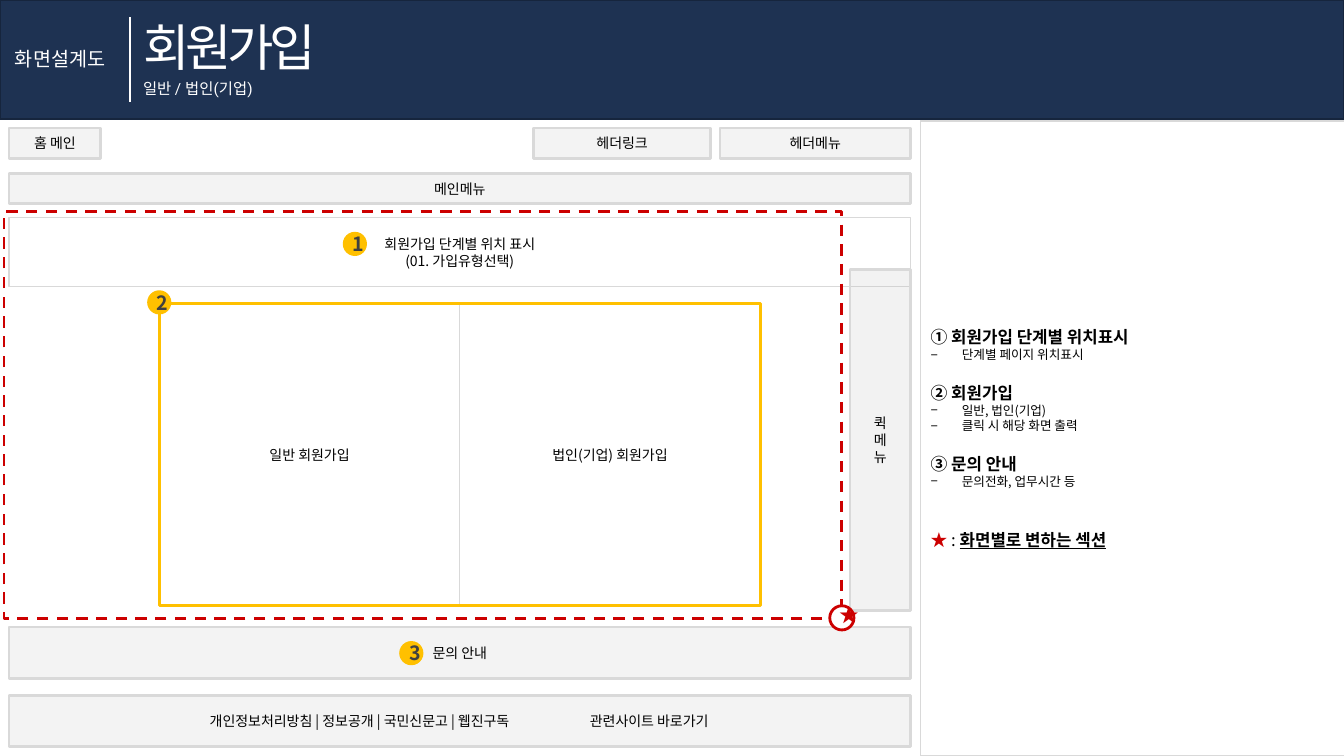
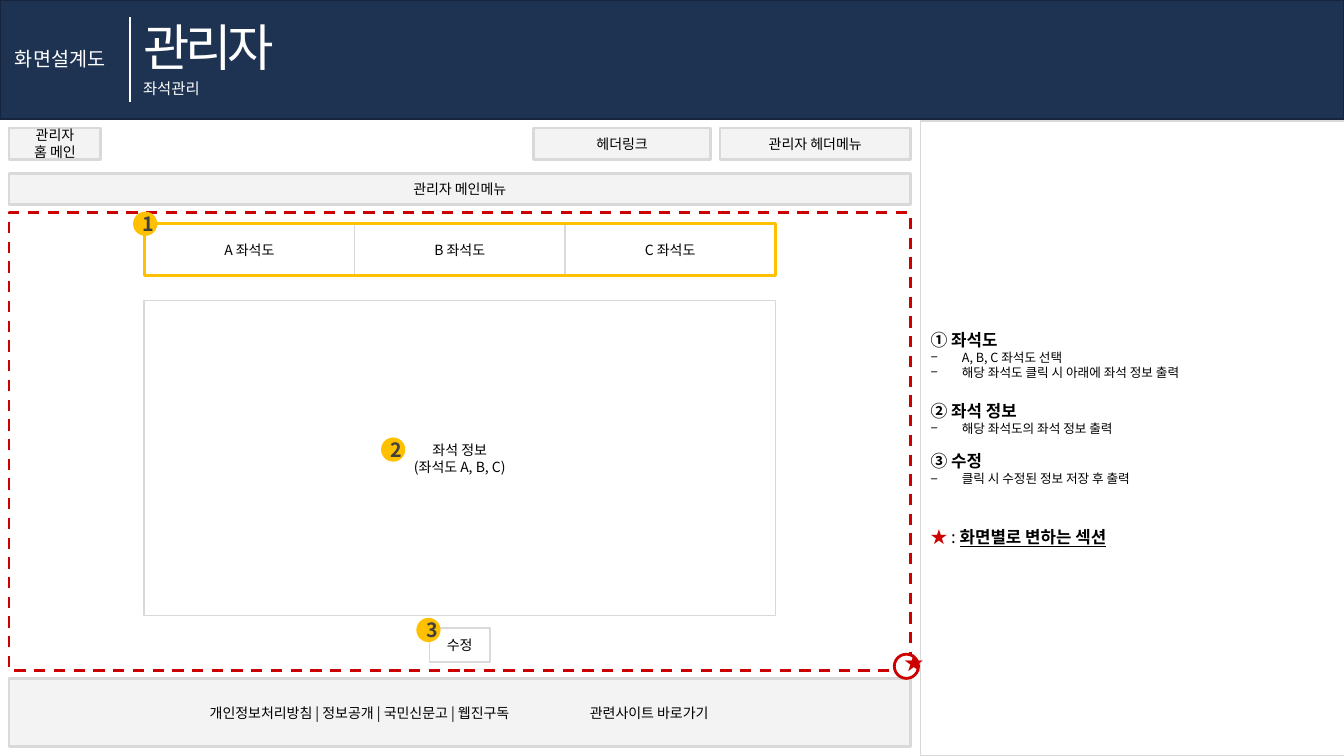
import pptx
import pptx.util
import pptx.dml.color
import pptx.oxml
import pptx.oxml.ns
import pptx.enum.dml
import pptx.enum.shapes
import pptx.enum.text

Inches, Pt = pptx.util.Inches, pptx.util.Pt
SHAPE = pptx.enum.shapes.MSO_SHAPE
ALIGN = pptx.enum.text.PP_ALIGN
ANCHOR = pptx.enum.text.MSO_ANCHOR

# Content
DOCUMENT = "화면설계도"
FOOTER = "개인정보처리방침 | 정보공개 | 국민신문고 | 웹진구독\t관련사이트 바로가기"
LEGEND = "화면별로 변하는 섹션"

# boxes: text, (left, top, width, height), style
# notes: heading, details, space before the heading in points
SCREENS = [
    {
        "title": "회원가입",
        "subtitle": "일반 / 법인(기업)",
        "bar_height": 0.3,
        "home": "홈 메인", "links": "헤더링크", "menu": "헤더메뉴", "main_menu": "메인메뉴",
        "footer": (6.9, 0.51),
        "boxes": [
            ("회원가입 단계별 위치 표시\n(01. 가입유형선택)", (0.09, 2.16, 8.94, 0.68), "plain"),
            ("문의 안내", (0.09, 6.22, 8.94, 0.51), "bar"),
            ("퀵\n메\n뉴", (8.43, 2.67, 0.6, 3.39), "quick"),
        ],
        "tiles": ["일반 회원가입", "법인(기업) 회원가입"],
        "tile_area": (1.58, 3.01, 5.96, 3),
        "section": (0.04, 2.1, 8.31, 4.04),
        "star": (8.23, 6.01),
        "badges": [("1", 3.4, 2.3), ("3", 3.96, 6.36), ("2", 1.46, 2.88)],
        "notes": [
            ("① 회원가입 단계별 위치표시", ["단계별 페이지 위치표시"], 0),
            ("② 회원가입", ["일반, 법인(기업)", "클릭 시 해당 화면 출력"], 14.5),
            ("③ 문의 안내", ["문의전화, 업무시간 등"], 14.5),
        ],
    },
    {
        "title": "관리자",
        "subtitle": "좌석관리",
        "bar_height": 0.31,
        "home": "관리자\n홈 메인", "links": "헤더링크", "menu": "관리자 헤더메뉴",
        "main_menu": "관리자 메인메뉴",
        "footer": (6.73, 0.68),
        "boxes": [
            ("좌석 정보\n(좌석도 A, B, C)", (1.43, 2.98, 6.26, 3.13), "plain"),
            ("수정", (4.26, 6.23, 0.6, 0.34), "plain"),
        ],
        "tiles": ["A 좌석도", "B 좌석도", "C 좌석도"],
        "tile_area": (1.43, 2.22, 6.26, 0.51),
        "section": (0.09, 2.11, 8.94, 4.54),
        "star": (8.87, 6.49),
        "badges": [("2", 3.78, 4.34), ("3", 4.13, 6.13), ("1", 1.32, 2.1)],
        "notes": [
            ("① 좌석도", ["A, B, C 좌석도 선택", "해당 좌석도 클릭 시 아래에 좌석 정보 출력"], 0),
            ("② 좌석 정보", ["해당 좌석도의 좌석 정보 출력"], 14.5),
            ("③ 수정", ["클릭 시 수정된 정보 저장 후 출력"], 11),
        ],
    },
]

# Shared look
FONT = "Noto Sans CJK KR"
NAVY, NAVY_EDGE, WHITE, BLACK = "1E3252", "16253D", "FFFFFF", "000000"
GRAY, QUICK_GRAY, DARK = "D9D9D9", "BFBFBF", "404040"
RED, YELLOW = "CC0000", "FFC000"
STYLES = {
    "band": dict(fill=NAVY, line=NAVY_EDGE, weight=1),
    "bar": dict(fill=GRAY, opacity=30, line=GRAY, weight=2),
    "quick": dict(fill=QUICK_GRAY, opacity=20, line=GRAY, weight=2),
    "plain": dict(fill=WHITE, line=GRAY, weight=1),
    "section": dict(line=RED, weight=2, dashed=True),
    "frame": dict(line=YELLOW, weight=2),
    "ring": dict(fill=WHITE, line=RED, weight=2),
    "badge": dict(fill=YELLOW),
}
SLIDE_W, SLIDE_H = 13.33, 7.5
LEFT, CONTENT_W = 0.09, 8.94
PANEL = (9.13, 1.2, 4.22, 6.3)
DOT = 0.24
DETAIL_INDENT = 0.31
FOOTER_INSET, FOOTER_TAB = 1.99, 3.77


def rgb(color):
    return pptx.dml.color.RGBColor.from_string(color)


def add_xml(parent, tag, **attributes):
    child = pptx.oxml.parse_xml(f"<a:{tag} {pptx.oxml.ns.nsdecls('a')}/>")
    for key, value in attributes.items():
        child.set(key, str(value))
    parent.append(child)
    return child


def write(paragraph, text, size=10, color=BLACK, bold=False, underline=False,
          font=FONT, spacing=None, align=None):
    if align is not None:
        paragraph.alignment = align
    run = paragraph.add_run()
    run.text = text
    run.font.size = Pt(size)
    run.font.bold = bold
    run.font.underline = underline
    run.font.color.rgb = rgb(color)
    run.font.name = font
    properties = run.font._element if hasattr(run.font, "_element") else run._r.get_or_add_rPr()
    add_xml(properties, "ea", typeface=FONT)
    if spacing is not None:
        properties.set("spc", str(spacing * 100))


def paint(shape, fill=None, opacity=100, line=None, weight=1, dashed=False):
    if fill:
        shape.fill.solid()
        shape.fill.fore_color.rgb = rgb(fill)
        if opacity < 100:
            tint = shape.fill._xPr.find(".//" + pptx.oxml.ns.qn("a:srgbClr"))
            add_xml(tint, "alpha", val=opacity * 1000)
    else:
        shape.fill.background()
    if line:
        shape.line.color.rgb = rgb(line)
        shape.line.width = Pt(weight)
        if dashed:
            shape.line.dash_style = pptx.enum.dml.MSO_LINE.DASH
    else:
        shape.line.fill.background()


def place(shape, area):
    shape.left, shape.top, shape.width, shape.height = map(Inches, area)


def add_box(shapes, area, style, text="", geometry=SHAPE.RECTANGLE, **text_format):
    box = shapes.add_shape(geometry, *map(Inches, area))
    box.shadow.inherit = False
    paint(box, **STYLES[style])
    frame = box.text_frame
    frame.word_wrap = True
    frame.vertical_anchor = ANCHOR.MIDDLE
    for index, row in enumerate(text.split("\n") if text else []):
        paragraph = frame.add_paragraph() if index else frame.paragraphs[0]
        write(paragraph, row, **{"align": ALIGN.CENTER, **text_format})
    return box


def add_label(shapes, area, text, wrap=False, margin=None, **text_format):
    label = shapes.add_textbox(*map(Inches, area))
    frame = label.text_frame
    frame.word_wrap = wrap
    if margin is not None:
        frame.margin_left = frame.margin_right = Inches(margin)
        frame.margin_top = frame.margin_bottom = Inches(margin)
    write(frame.paragraphs[0], text, **text_format)


def add_header(slide, screen):
    shapes = slide.shapes
    title = shapes.title
    band = add_box(shapes, (0, 0, SLIDE_W, 1.18), "band")
    title.element.addprevious(band.element)

    place(title, (1.32, 0.11, 2.05, 0.71))
    frame = title.text_frame
    frame.word_wrap = False
    frame.auto_size = pptx.enum.text.MSO_AUTO_SIZE.NONE
    frame.vertical_anchor = ANCHOR.TOP
    write(frame.paragraphs[0], screen["title"], size=36, color=WHITE, spacing=-3,
          align=ALIGN.LEFT)

    add_label(shapes, (0.05, 0.42, 1.18, 0.34), DOCUMENT, size=14, color=WHITE)
    divider = shapes.add_connector(pptx.enum.shapes.MSO_CONNECTOR.STRAIGHT,
                                   *map(Inches, (1.29, 0.17, 1.29, 1.01)))
    divider.line.color.rgb = rgb(WHITE)
    divider.line.width = Pt(1.5)
    add_xml(divider.element.spPr, "effectLst")
    add_label(shapes, (1.32, 0.74, 1.35, 0.29), screen["subtitle"], wrap=True,
              size=11, color=WHITE, font="Roboto")


def add_notes(panel, notes):
    place(panel, PANEL)
    paint(panel, **STYLES["plain"])
    frame = panel.text_frame
    frame.word_wrap = True
    frame.auto_size = pptx.enum.text.MSO_AUTO_SIZE.NONE
    frame.vertical_anchor = ANCHOR.MIDDLE
    unused = [frame.paragraphs[0]]

    def add_line(space=0, bullet=None):
        paragraph = unused.pop() if unused else frame.add_paragraph()
        paragraph.alignment = ALIGN.LEFT
        paragraph.space_before = Pt(space)
        properties = paragraph._p.get_or_add_pPr()
        indent = Inches(DETAIL_INDENT) if bullet else 0
        properties.set("marL", str(indent))
        properties.set("indent", str(-indent))
        if bullet:
            add_xml(properties, "buChar", char=bullet)
        else:
            add_xml(properties, "buNone")
        return paragraph

    for heading, details, space in notes:
        write(add_line(space), heading, size=12, bold=True)
        for detail in details:
            write(add_line(bullet="−"), detail, size=9)
    legend = add_line(space=29)
    write(legend, "★ ", size=12, color=RED, bold=True)
    write(legend, ": ", size=12)
    write(legend, LEGEND, size=12, bold=True, underline=True)


def add_wireframe(shapes, screen):
    # Site header and footer
    height = screen["bar_height"]
    for text, left, top, width in [
        (screen["main_menu"], LEFT, 1.72, CONTENT_W),
        (screen["home"], LEFT, 1.27, 0.91),
        (screen["menu"], 7.14, 1.27, 1.89),
        (screen["links"], 5.29, 1.27, 1.76),
    ]:
        add_box(shapes, (left, top, width, height), "bar", text)
    footer_top, footer_height = screen["footer"]
    footer = add_box(shapes, (LEFT, footer_top, CONTENT_W, footer_height), "bar", FOOTER,
                     align=ALIGN.LEFT)
    footer.text_frame.margin_left = Inches(FOOTER_INSET)
    tabs = add_xml(footer.text_frame.paragraphs[0]._p.get_or_add_pPr(), "tabLst")
    add_xml(tabs, "tab", pos=Inches(FOOTER_TAB), algn="l")

    # Page content
    for text, area, style in screen["boxes"]:
        add_box(shapes, area, style, text)
    left, top, width, height = screen["tile_area"]
    tile_width = width / len(screen["tiles"])
    for index, text in enumerate(screen["tiles"]):
        add_box(shapes, (left + index * tile_width, top, tile_width, height), "plain", text)

    # Changing section with its star
    add_box(shapes, screen["section"], "section")
    star_left, star_top = screen["star"]
    marker = shapes.add_group_shape().shapes
    add_box(marker, (star_left, star_top, DOT, DOT), "ring", geometry=SHAPE.OVAL)
    add_label(marker, (star_left + 0.1, star_top - 0.03, DOT, DOT), "★", margin=0,
              size=14, color=RED)

    # Highlight and numbered badges
    add_box(shapes, screen["tile_area"], "frame")
    for number, left, top in screen["badges"]:
        badge = add_box(shapes, (left, top, DOT, DOT), "badge", number, SHAPE.OVAL,
                        size=14, color=DARK, bold=True)
        frame = badge.text_frame
        frame.word_wrap = False
        frame.margin_left = Inches(0.07)
        frame.margin_right = frame.margin_top = frame.margin_bottom = 0


def main():
    deck = pptx.Presentation()
    deck.slide_width, deck.slide_height = Inches(SLIDE_W), Inches(SLIDE_H)
    for screen in SCREENS:
        slide = deck.slides.add_slide(deck.slide_layouts[1])
        add_header(slide, screen)
        add_notes(slide.placeholders[1], screen["notes"])
        add_wireframe(slide.shapes, screen)
    deck.save("out.pptx")


if __name__ == "__main__":
    main()
